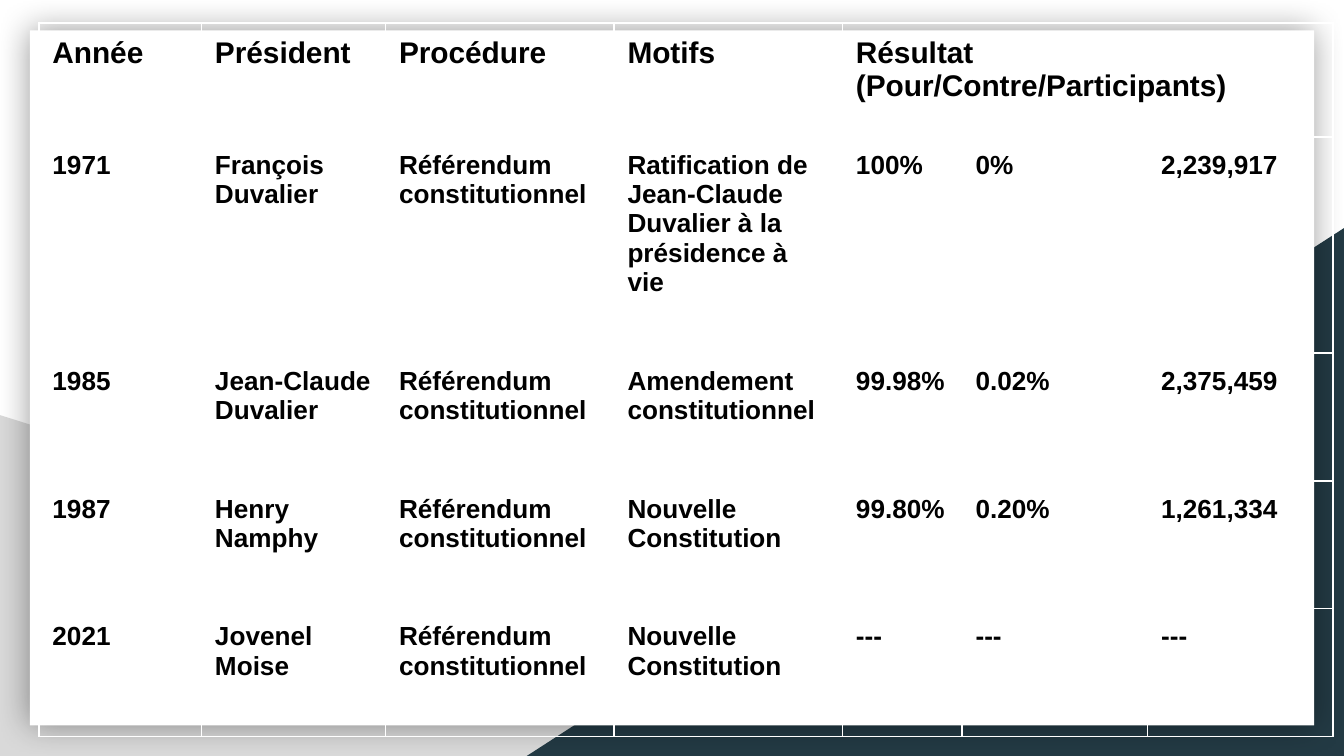
import pptx
import pptx.util
import pptx.oxml
import pptx.oxml.ns
import pptx.dml.color
import pptx.enum.shapes

Pt = pptx.util.Pt
Color = pptx.dml.color.RGBColor
Kind = pptx.enum.shapes.MSO_SHAPE

WHITE = Color(0xFF, 0xFF, 0xFF)
BLACK = Color(0, 0, 0)
GREY = Color(0xD9, 0xD9, 0xD9)
NAVY = Color(0x23, 0x3A, 0x44)

WIDTHS = [87.1, 98.6, 122.4, 122.4, 64.1, 99.4, 99.4]
HEIGHTS = [61.2, 115.9, 68.4, 68.4, 68.4]
PROC = "Référendum constitutionnel"
HEAD = ["Année", "Président", "Procédure", "Motifs",
        "Résultat (Pour/Contre/Participants)"]
VOTES = [
    ["1971", "François Duvalier", PROC,
     "Ratification de Jean-Claude Duvalier à la présidence à vie",
     "100%", "0%", "2,239,917"],
    ["1985", "Jean-Claude Duvalier", PROC, "Amendement constitutionnel",
     "99.98%", "0.02%", "2,375,459"],
    ["1987", "Henry Namphy", PROC, "Nouvelle Constitution",
     "99.80%", "0.20%", "1,261,334"],
    ["2021", "Jovenel Moise", PROC, "Nouvelle Constitution",
     "---", "---", "---"],
]


def add_block(slide, kind, box, color):
    shape = slide.shapes.add_shape(kind, *[Pt(n) for n in box])
    shape.shadow.inherit = False
    shape.fill.solid()
    shape.fill.fore_color.rgb = color
    shape.line.fill.background()
    return shape


def flip(shape):
    shape._element.spPr.find(pptx.oxml.ns.qn("a:xfrm")).set("flipH", "1")


def add_glow(shape, blur, alpha):
    effects = shape._element.spPr.find(pptx.oxml.ns.qn("a:effectLst"))
    effects.append(pptx.oxml.parse_xml(
        f'<a:outerShdw {pptx.oxml.ns.nsdecls("a")} blurRad="{Pt(blur)}" '
        f'dist="0" dir="0" algn="ctr" rotWithShape="0">'
        f'<a:srgbClr val="{BLACK}"><a:alpha val="{alpha * 1000}"/>'
        f'</a:srgbClr></a:outerShdw>'))


def fill_cell(cell, text, size):
    cell.fill.background()
    cell.margin_left = cell.margin_right = Pt(7.2)
    cell.margin_top = cell.margin_bottom = Pt(7.2)
    cell.text = text
    font = cell.text_frame.paragraphs[0].font
    font.name = "Arial"
    font.size = Pt(size)
    font.bold = True
    font.color.rgb = BLACK


def add_votes(slide, left, top):
    rows = [HEAD + ["", ""]] + VOTES
    frame = slide.shapes.add_table(
        len(rows), len(WIDTHS), Pt(left), Pt(top),
        Pt(sum(WIDTHS)), Pt(sum(HEIGHTS)))
    table = frame.table
    table.first_row = table.horz_banding = False
    for column, width in zip(table.columns, WIDTHS):
        column.width = Pt(width)
    for row, height, texts in zip(table.rows, HEIGHTS, rows):
        row.height = Pt(height)
        for cell, text in zip(row.cells, texts):
            fill_cell(cell, text, 16 if texts is rows[0] else 14)
    table.cell(0, 4).merge(table.cell(0, 6))


def main():
    deck = pptx.Presentation()
    deck.slide_width, deck.slide_height = Pt(720), Pt(405)
    slide = deck.slides.add_slide(deck.slide_layouts[6])
    slide.background.fill.solid()
    slide.background.fill.fore_color.rgb = WHITE
    add_block(slide, Kind.RIGHT_TRIANGLE, (0, 222.4, 580.3, 182.6), GREY)
    flip(add_block(slide, Kind.RIGHT_TRIANGLE, (282.2, 122.2, 437.8, 282.8), NAVY))
    panel = add_block(slide, Kind.RECTANGLE, (16, 16.3, 688, 372.4), WHITE)
    add_glow(panel, 18, 40)
    add_votes(slide, 20.9, 12.2)
    deck.save("out.pptx")


if __name__ == "__main__":
    main()
